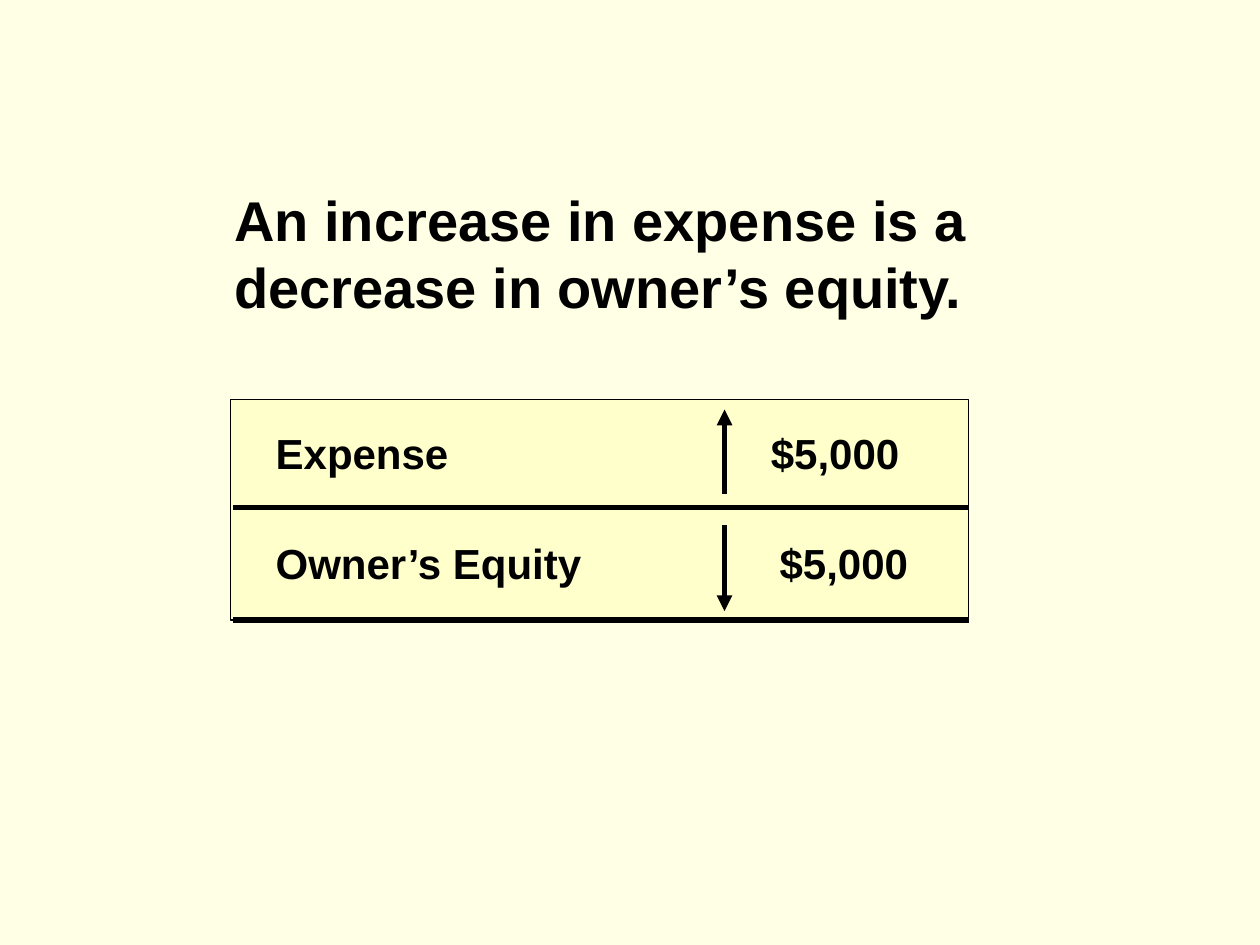
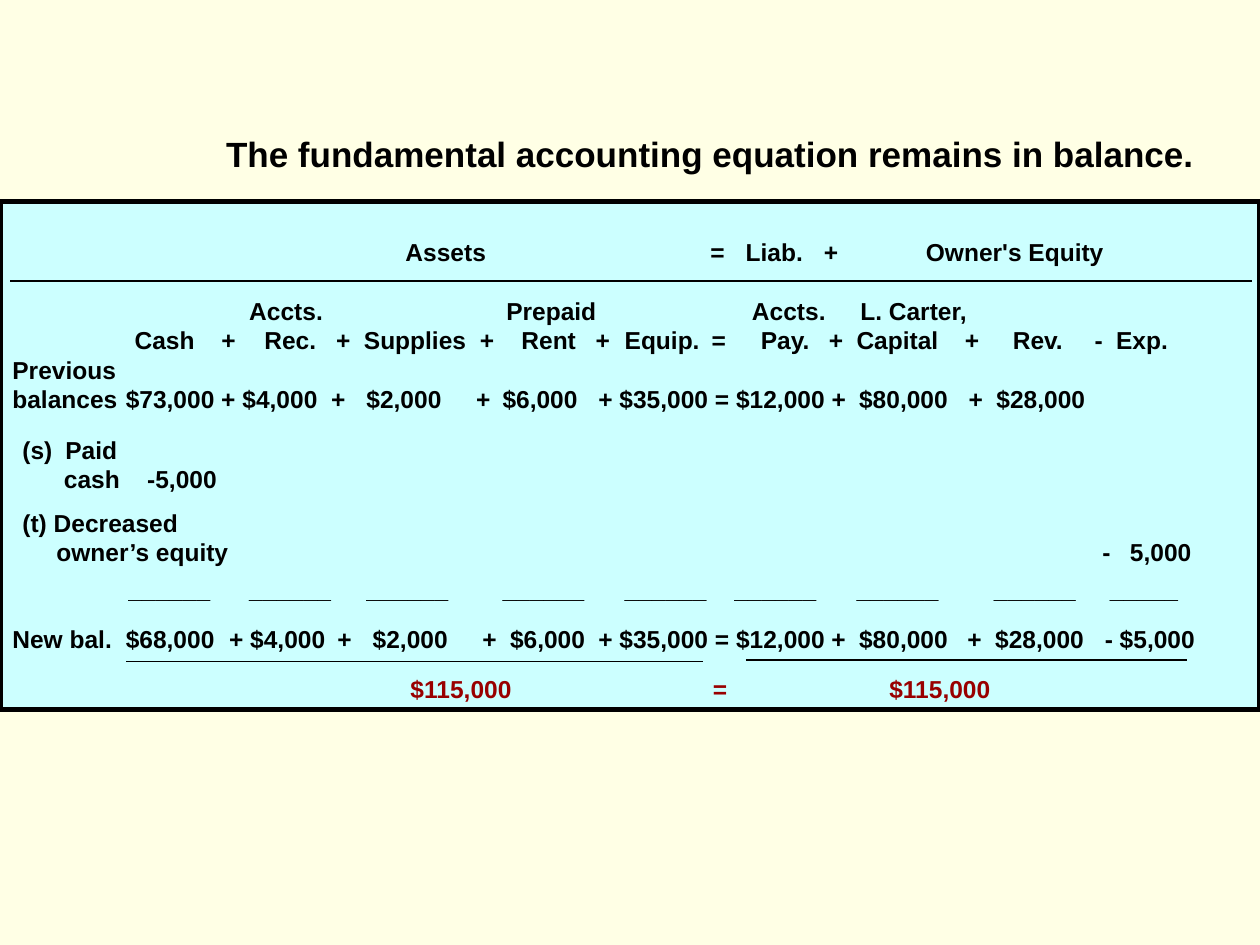
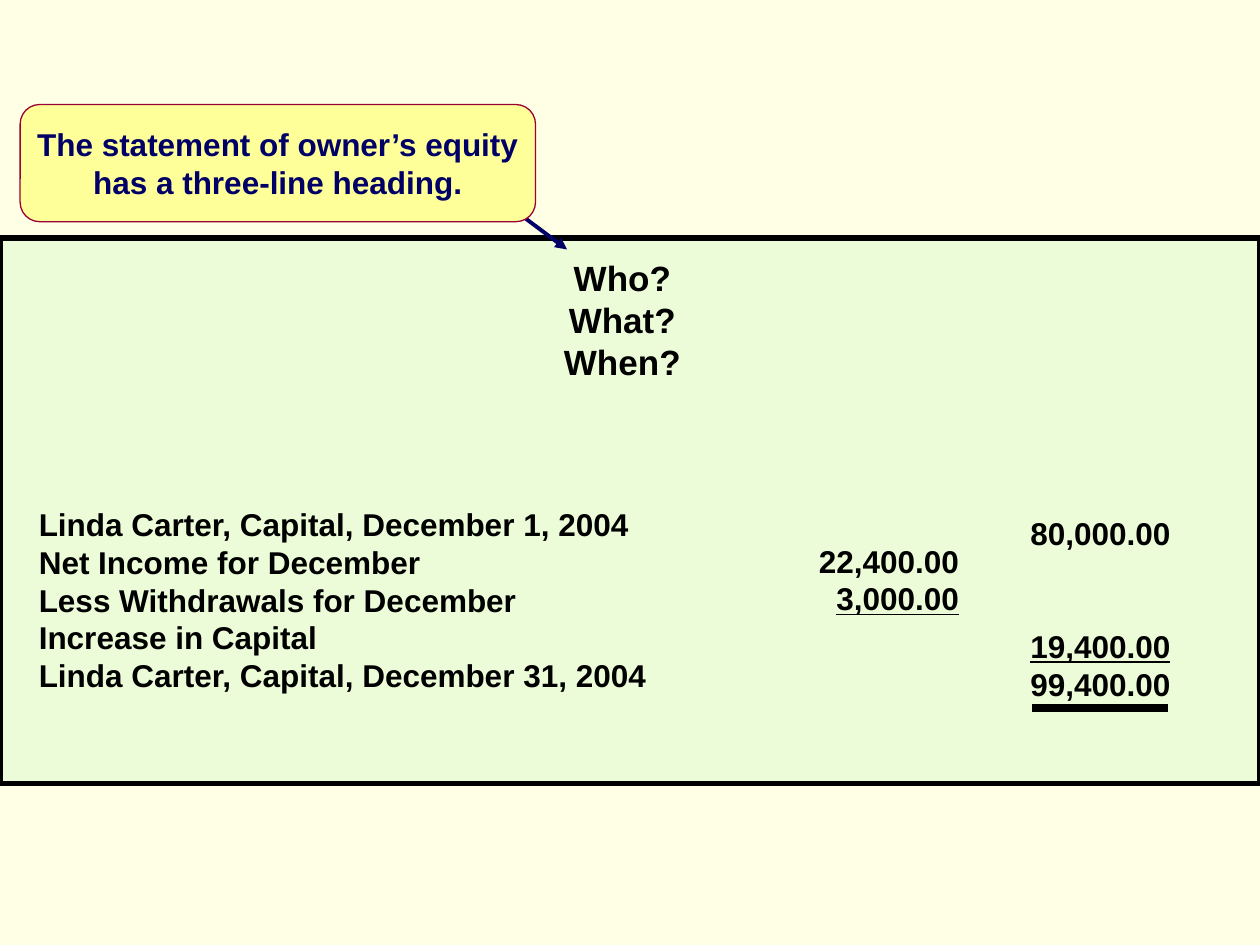
from pptx import Presentation
from pptx.dml.color import RGBColor
from pptx.enum import shapes, text
from pptx.oxml import ns
from pptx.util import Inches, Pt
from lxml import etree

# Shared style
FONT = "Arial"
LINE_HEIGHT = 1.2
INSET = 0.1
BLACK = RGBColor(0x00, 0x00, 0x00)
NAVY = RGBColor(0x00, 0x00, 0x66)
DARK_RED = RGBColor(0x99, 0x00, 0x00)
CRIMSON = RGBColor(0x99, 0x00, 0x33)
IVORY = RGBColor(0xFF, 0xFF, 0xE5)
CREAM = RGBColor(0xFF, 0xFF, 0xCC)
YELLOW = RGBColor(0xFF, 0xFF, 0x99)
AQUA = RGBColor(0xCC, 0xFF, 0xFF)
MINT = RGBColor(0xED, 0xFC, 0xD8)
LEFT, CENTER, RIGHT = (text.PP_ALIGN.LEFT, text.PP_ALIGN.CENTER,
                       text.PP_ALIGN.RIGHT)


def format_paragraph(paragraph, size, color=BLACK, align=LEFT):
    paragraph.alignment = align
    paragraph.line_spacing = Pt(round(size * LINE_HEIGHT, 1))
    for run in paragraph.runs:
        run.font.name = FONT
        run.font.size = Pt(size)
        run.font.bold = True
        run.font.color.rgb = color


def set_frame(frame, anchor=text.MSO_ANCHOR.TOP, wrap=True):
    frame.word_wrap = wrap
    frame.auto_size = text.MSO_AUTO_SIZE.NONE
    frame.vertical_anchor = anchor
    frame.margin_left = frame.margin_right = Inches(INSET)
    frame.margin_top = frame.margin_bottom = Inches(0.05)


def add_text(slide, box, lines, size, color=BLACK, align=LEFT):
    """Write one paragraph per line; a line may be a list of (x, text) cells."""
    frame = slide.shapes.add_textbox(*map(Inches, box)).text_frame
    set_frame(frame)
    for index, line in enumerate(lines):
        paragraph = frame.add_paragraph() if index else frame.paragraphs[0]
        if isinstance(line, str):
            paragraph.text = line
        else:
            set_cells(paragraph, line)
        format_paragraph(paragraph, size, color, align)
    return frame


def set_cells(paragraph, cells):
    """Place each cell at its distance from the box edge with a tab stop."""
    paragraph.text = "".join(
        ("\t" if x > INSET else "") + content for x, content in cells)
    properties = paragraph._p.get_or_add_pPr()
    tab_list = etree.SubElement(properties, ns.qn("a:tabLst"))
    for x, _ in cells:
        if x > INSET:
            etree.SubElement(tab_list, ns.qn("a:tab"),
                             pos=str(Inches(x - INSET)), algn="l")


def add_title(slide, box, wording, size, align=LEFT):
    title = slide.shapes.title
    title.left, title.top, title.width, title.height = map(Inches, box)
    set_frame(title.text_frame)
    title.text_frame.text = wording
    format_paragraph(title.text_frame.paragraphs[0], size, align=align)


def add_panel(slide, box, fill, line=BLACK, width=3,
              kind=shapes.MSO_SHAPE.RECTANGLE):
    panel = slide.shapes.add_shape(kind, *map(Inches, box))
    panel.shadow.inherit = False
    panel.fill.solid()
    panel.fill.fore_color.rgb = fill
    panel.line.color.rgb = line
    panel.line.width = Pt(width)
    return panel


def add_line(slide, start, end, width, color=BLACK, arrow=False):
    line = slide.shapes.add_connector(
        shapes.MSO_CONNECTOR.STRAIGHT, *map(Inches, (*start, *end)))
    line.line.color.rgb = color
    line.line.width = Pt(width)
    if arrow:
        etree.SubElement(line.line._get_or_add_ln(), ns.qn("a:tailEnd"),
                         type="triangle")
    etree.SubElement(line._element.spPr, ns.qn("a:effectLst"))


# Slide 1: effect of an expense
def add_effect_panel(slide, box):
    left, top, width, height = box
    add_panel(slide, box, CREAM, width=0.75)
    arrow_x = left + 3.92
    rows = [("Expense", 4.29, 0.75, 0.08),
            ("Owner’s Equity", 4.36, 1.0, 1.68)]
    for index, (label, amount_x, arrow_start, arrow_end) in enumerate(rows):
        add_text(slide, (left, top + 0.17 + 0.88 * index, width, 0.5),
                 [[(0.36, label), (amount_x, "$5,000")]], 24)
        add_line(slide, (arrow_x, top + arrow_start),
                 (arrow_x, top + arrow_end), 3, arrow=True)
    for y in (top + 0.86, top + height):
        add_line(slide, (left + 0.02, y), (left + width, y), 3)


# Slide 2: accounting equation
EQUATION_HEADING = [[(3.22, "Assets"), (5.64, "="), (5.92, "Liab."),
                     (6.54, "+"), (7.35, "Owner's Equity")]]
ACCOUNTS = [
    [(1.98, "Accts."), (4.02, "Prepaid"), (5.97, "Accts."),
     (6.83, "L. Carter,")],
    [(1.07, "Cash"), (1.76, "+"), (2.1, "Rec."), (2.67, "+"),
     (2.89, "Supplies"), (3.81, "+"), (4.14, "Rent"), (4.73, "+"),
     (4.96, "Equip."), (5.65, "="), (6.04, "Pay."), (6.58, "+"),
     (6.8, "Capital"), (7.66, "+"), (8.04, "Rev."), (8.69, "-"),
     (8.86, "Exp.")],
    "Previous",
    [(0.1, "balances"), (1.0, "$73,000 + $4,000"), (2.63, "+"),
     (2.91, "$2,000"), (3.78, "+"), (3.99, "$6,000"),
     (4.75, "+ $35,000 = $12,000 +"), (6.82, "$80,000"), (7.69, "+"),
     (7.91, "$28,000")],
]
PAID_CASH = [[(0.18, "(s)"), (0.52, "Paid")],
             [(0.51, "cash"), (1.17, "-5,000")]]
DECREASED_EQUITY = [[(0.18, "(t) Decreased")],
                    [(0.45, "owner’s equity"), (8.75, "-"), (8.97, "5,000")]]
SUM_RULES = [[(x, "______") for x in
              (1.02, 1.98, 2.91, 3.99, 4.96, 5.83, 6.8, 7.89)]
             + [(8.81, "_____")]]
NEW_BALANCES = [[(0.1, "New bal."), (1.0, "$68,000"), (1.82, "+ $4,000"),
                 (2.68, "+"), (2.96, "$2,000"), (3.83, "+"),
                 (4.05, "$6,000"), (4.75, "+ $35,000 = $12,000"),
                 (6.6, "+"), (6.82, "$80,000"), (7.68, "+"),
                 (7.9, "$28,000"), (8.77, "- $5,000")]]
TOTALS = [[(3.26, "$115,000"), (5.66, "="), (7.06, "$115,000")]]


def add_equation_panel(slide, box):
    left, top, width, _ = box
    add_panel(slide, box, AQUA)
    blocks = [(0.23, EQUATION_HEADING, BLACK), (0.7, ACCOUNTS, BLACK),
              (1.8, PAID_CASH, BLACK), (2.38, DECREASED_EQUITY, BLACK),
              (2.91, SUM_RULES, BLACK), (3.3, NEW_BALANCES, BLACK),
              (3.7, TOTALS, DARK_RED)]
    for y, lines, color in blocks:
        height = 0.1 + 0.24 * len(lines)
        add_text(slide, (left, top + y, width, height), lines, 14, color)
    for start, end, y in [(0.08, 9.94, 0.63), (1, 5.58, 3.65),
                          (5.92, 9.42, 3.64)]:
        add_line(slide, (left + start, top + y), (left + end, top + y), 1)


# Slide 3: statement of owner's equity
def add_statement(slide, box):
    left, top, _, _ = box
    add_panel(slide, box, MINT)
    add_text(slide, (left + 3.61, top + 0.1, 2.66, 1.1),
             ["Who?", "What?", "When?"], 20, align=CENTER)
    add_text(slide, (left + 0.21, top + 2.07, 6, 1.6),
             ["Linda Carter, Capital, December 1, 2004",
              "Net Income for December",
              "Less Withdrawals for December",
              "Increase in Capital",
              "Linda Carter, Capital, December 31, 2004"], 18)
    changes = add_text(slide, (left + 6.4, top + 2.36, 1.43, 0.7),
                       ["22,400.00", [(0.24, "3,000.00")]], 18)
    capital = add_text(slide, (left + 8.08, top + 2.14, 1.43, 1.6),
                       ["80,000.00", "19,400.00", "99,400.00"], 18)
    capital.paragraphs[1].space_before = Pt(2 * 18 * LINE_HEIGHT)
    for frame in (changes, capital):
        for run in frame.paragraphs[1].runs:
            run.font.underline = True
    add_line(slide, (left + 8.19, top + 3.73), (left + 9.27, top + 3.73), 4.5)


def add_callout(slide, box, wording):
    left, top, _, _ = box
    add_line(slide, (left + 3.59, top + 0.59), (left + 4.34, top + 1.15),
             2.25, NAVY, arrow=True)
    callout = add_panel(slide, box, YELLOW, CRIMSON, 0.75,
                        shapes.MSO_SHAPE.ROUNDED_RECTANGLE)
    set_frame(callout.text_frame, text.MSO_ANCHOR.MIDDLE, wrap=False)
    callout.text_frame.text = wording
    for paragraph in callout.text_frame.paragraphs:
        format_paragraph(paragraph, 18, NAVY, CENTER)


def main():
    presentation = Presentation()
    presentation.slide_width = Inches(10)
    presentation.slide_height = Inches(7.5)
    background = presentation.slide_master.background.fill
    background.solid()
    background.fore_color.rgb = IVORY
    title_only = presentation.slide_layouts.get_by_name("Title Only")
    blank = presentation.slide_layouts.get_by_name("Blank")

    slide = presentation.slides.add_slide(title_only)
    add_title(slide, (1.76, 1.42, 6.41, 1.17),
              "An increase in expense is a decrease in owner’s equity.", 32)
    add_effect_panel(slide, (1.83, 3.17, 5.86, 1.75))

    slide = presentation.slides.add_slide(title_only)
    add_title(slide, (0.37, 1, 9.21, 0.44),
              "The fundamental accounting equation remains in balance.", 20,
              RIGHT)
    add_equation_panel(slide, (0, 1.6, 10, 4.03))

    slide = presentation.slides.add_slide(blank)
    add_statement(slide, (0, 1.89, 10, 4.33))
    add_callout(slide, (0.16, 0.83, 4.09, 0.93),
                "The statement of owner’s equity\nhas a three-line heading.")

    presentation.save("out.pptx")


if __name__ == "__main__":
    main()
